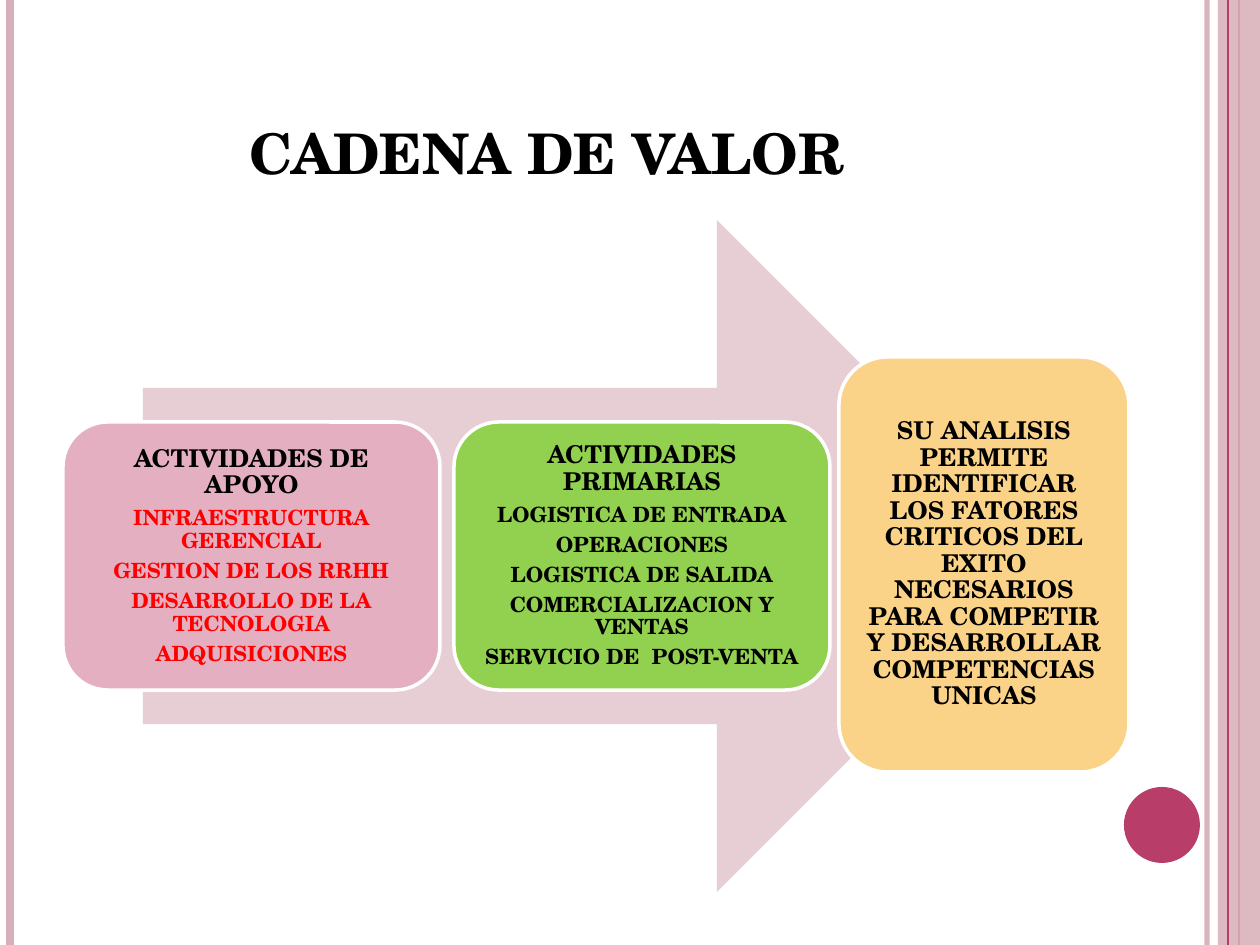
import dataclasses

import pptx
import pptx.dml.color
import pptx.enum.shapes
import pptx.enum.text
import pptx.oxml
import pptx.oxml.ns
import pptx.util

KIND = pptx.enum.shapes.MSO_SHAPE
ALIGN = pptx.enum.text.PP_ALIGN
ANCHOR = pptx.enum.text.MSO_ANCHOR
NS = pptx.oxml.ns.nsdecls("a")
SCALE = 914400 / 126


@dataclasses.dataclass(frozen=True)
class Theme:
    font: str = "TeX Gyre Schola"
    ink: str = "000000"
    red: str = "FF0000"
    white: str = "FFFFFF"
    rose: str = "D8AFB9"
    wine: str = "B83D68"
    pale: str = "E6CED4"
    pink: str = "E5AFC2"
    green: str = "92D050"
    sand: str = "FBD388"
    title: int = 40
    head: int = 14
    item: int = 12


def px(n):
    return round(n * SCALE)


class Deck:
    """Draws styled elements on the current slide."""

    def __init__(self, theme, wide, high):
        self.theme = theme
        self.file = pptx.Presentation()
        self.file.slide_width, self.file.slide_height = px(wide), px(high)
        self.slide = self.file.slides.add_slide(self.file.slide_layouts[5])

    def paint(self, fill, color, alpha=100):
        fill.solid()
        fill.fore_color.rgb = pptx.dml.color.RGBColor.from_string(color)
        if alpha < 100:
            tint = pptx.oxml.parse_xml(f'<a:alpha {NS} val="{alpha * 1000}"/>')
            fill._xPr.find(".//" + pptx.oxml.ns.qn("a:srgbClr")).append(tint)

    def text(self, para, words, size, color):
        run = para.add_run()
        run.text = words
        run.font.name = self.theme.font
        run.font.size = pptx.util.Pt(size)
        run.font.bold = True
        self.paint(run.font.fill, color)
        return run

    def title(self, words, x, y, w, h, indent):
        shape = self.slide.shapes.title
        shape.left, shape.top, shape.width, shape.height = map(px, (x, y, w, h))
        frame = shape.text_frame
        frame.auto_size = pptx.enum.text.MSO_AUTO_SIZE.NONE
        frame.vertical_anchor = ANCHOR.BOTTOM
        frame.margin_left = px(indent)
        para = frame.paragraphs[0]
        para.alignment = ALIGN.LEFT
        run = self.text(para, words, self.theme.title, self.theme.ink)
        run.font._element.set("cap", "small")

    def rule(self, x, width, color, alpha=100):
        line = self.slide.shapes.add_connector(
            pptx.enum.shapes.MSO_CONNECTOR.STRAIGHT,
            px(x), 0, px(x), self.file.slide_height)
        line.line.width = pptx.util.Pt(width)
        self.paint(line.line.fill, color, alpha)
        line._element.spPr.append(pptx.oxml.parse_xml(f"<a:effectLst {NS}/>"))

    def shape(self, kind, x, y, w, h, color, alpha=100):
        shape = self.slide.shapes.add_shape(kind, *map(px, (x, y, w, h)))
        shape.shadow.inherit = False
        self.paint(shape.fill, color, alpha)
        shape.line.fill.background()
        return shape

    def card(self, x, y, w, h, color, head, items=(), tone=None):
        shape = self.shape(KIND.ROUNDED_RECTANGLE, x, y, w, h, color)
        self.paint(shape.line.fill, self.theme.white)
        shape.line.width = pptx.util.Pt(2)
        frame = shape.text_frame
        frame.word_wrap = True
        frame.vertical_anchor = ANCHOR.MIDDLE
        frame.margin_left = frame.margin_right = px(8)
        frame.margin_top = frame.margin_bottom = px(8)
        rows = [(head, self.theme.head, self.theme.ink)]
        rows += [(item, self.theme.item, tone) for item in items]
        for i, (words, size, ink) in enumerate(rows):
            para = frame.add_paragraph() if i else frame.paragraphs[0]
            para.alignment = ALIGN.CENTER
            para.line_spacing = 0.9
            para.space_after = pptx.util.Pt(round(size * 0.35, 1))
            self.text(para, words, size, ink)


def main():
    look = Theme()
    deck = Deck(look, 1260, 945)
    deck.rule(1207, 3, look.rose, 93)
    deck.rule(10, 4.5, look.rose)
    deck.rule(1239, 1.5, look.wine)
    deck.shape(KIND.RECTANGLE, 1218, 0, 42, 945, look.rose, 87)
    deck.rule(1228, 0.75, look.wine)
    deck.shape(KIND.OVAL, 1124, 787, 76, 76, look.wine)
    deck.title("cadena de valor", 63, 38, 1113, 157, 186)
    deck.shape(KIND.RIGHT_ARROW, 143, 220, 910, 672, look.pale)
    deck.card(63, 422, 377, 268, look.pink, "ACTIVIDADES DE APOYO", (
        "INFRAESTRUCTURA GERENCIAL",
        "GESTION DE LOS RRHH",
        "DESARROLLO DE LA TECNOLOGIA",
        "ADQUISICIONES",
    ), look.red)
    deck.card(454, 422, 376, 268, look.green, "ACTIVIDADES PRIMARIAS", (
        "LOGISTICA DE ENTRADA",
        "OPERACIONES",
        "LOGISTICA DE SALIDA",
        "COMERCIALIZACION Y VENTAS",
        "SERVICIO DE  POST-VENTA",
    ), look.ink)
    deck.card(839, 357, 290, 415, look.sand,
              "SU ANALISIS PERMITE IDENTIFICAR LOS FATORES CRITICOS DEL EXITO "
              "NECESARIOS PARA COMPETIR Y DESARROLLAR COMPETENCIAS UNICAS")
    deck.file.save("out.pptx")


if __name__ == "__main__":
    main()
